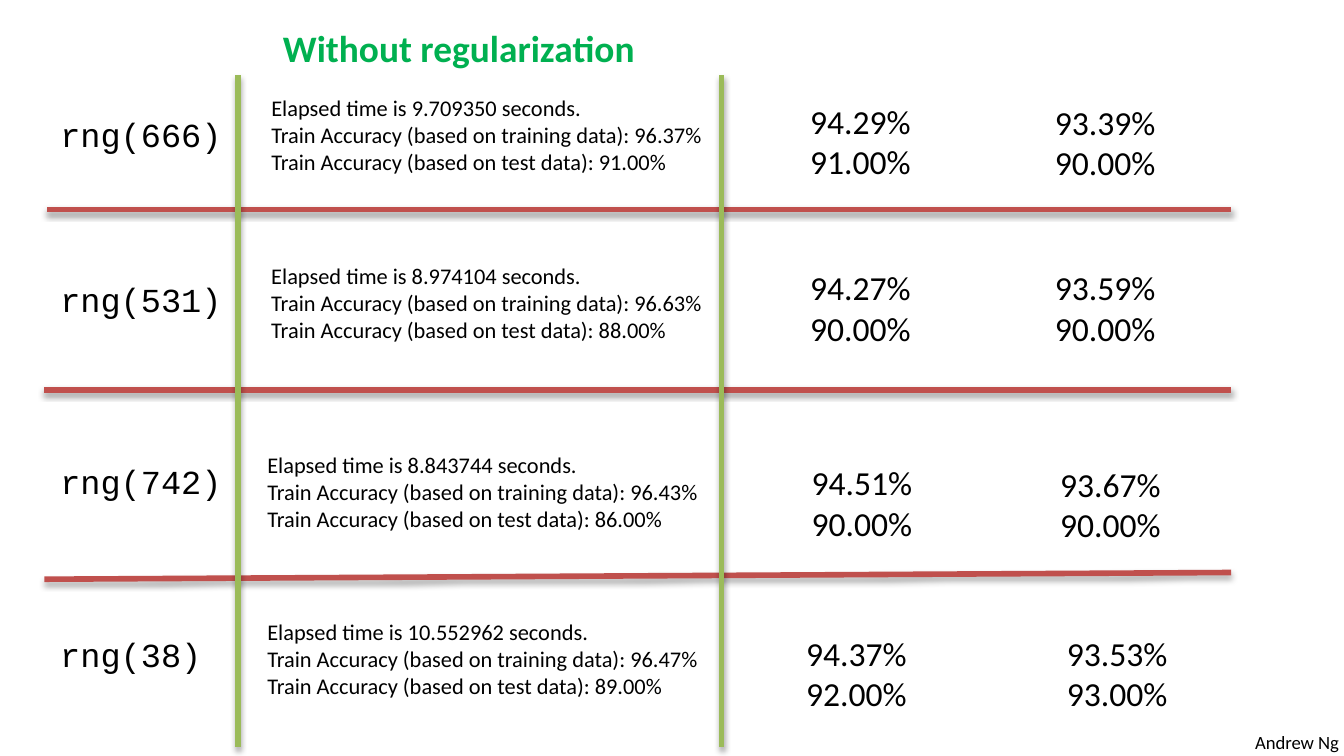
from lxml.etree import fromstring
from pptx import Presentation
from pptx.dml.color import RGBColor
from pptx.enum.shapes import MSO_CONNECTOR
from pptx.enum.text import MSO_AUTO_SIZE, PP_ALIGN
from pptx.util import Inches, Pt

BLACK = RGBColor(0x00, 0x00, 0x00)
GREEN = RGBColor(0x00, 0xB0, 0x50)
RED = RGBColor(0xC0, 0x50, 0x4D)
OLIVE = RGBColor(0x9B, 0xBB, 0x59)

SHADOW = (
    '<a:effectLst xmlns:a="http://schemas.openxmlformats.org/drawingml/2006/main">'
    '<a:outerShdw blurRad="40000" dist="23000" dir="5400000" rotWithShape="0">'
    '<a:srgbClr val="000000"><a:alpha val="35000"/></a:srgbClr>'
    '</a:outerShdw></a:effectLst>'
)

deck = Presentation()
deck.slide_width = Inches(10)
deck.slide_height = deck.slide_width * 9 // 16
page = deck.slides.add_slide(deck.slide_layouts[6])


def add_text(lines, left, top, width, height, size, font="Calibri",
             color=BLACK, bold=False, align=PP_ALIGN.LEFT, wrap=True):
    box = page.shapes.add_textbox(
        Inches(left), Inches(top), Inches(width), Inches(height))
    frame = box.text_frame
    frame.word_wrap = wrap
    frame.auto_size = MSO_AUTO_SIZE.SHAPE_TO_FIT_TEXT
    for index, line in enumerate(lines):
        para = frame.add_paragraph() if index else frame.paragraphs[0]
        para.alignment = align
        span = para.add_run()
        span.text = line
        span.font.name = font
        span.font.size = Pt(size)
        span.font.bold = bold
        span.font.color.rgb = color


def add_rule(start, end, color):
    """Draw a shadowed grid line between two (x, y) points in inches."""
    rule = page.shapes.add_connector(
        MSO_CONNECTOR.STRAIGHT, *[Inches(value) for value in (*start, *end)])
    rule.line.color.rgb = color
    rule.line.width = Pt(3)
    rule._element.spPr.append(fromstring(SHADOW))


add_text(["Andrew Ng"], 9.24, 5.39, 0.84, 0.27, 10, wrap=False)

# Each row: seed, (label top, width), (log left, top, width), seconds,
# (training, test), then (left, top, width, training, test) per score column.
rows = [
    (666, (0.8, 1.41), (1.92, 0.65, 3.45), "9.709350", ("96.37", "91.00"),
     [(5.93, 0.7, 1.08, "94.29", "91.00"), (7.75, 0.71, 1.08, "93.39", "90.00")]),
    (531, (2.03, 1.41), (1.92, 1.9, 3.67), "8.974104", ("96.63", "88.00"),
     [(5.93, 1.94, 1.08, "94.27", "90.00"), (7.75, 1.94, 1.08, "93.59", "90.00")]),
    (742, (3.38, 1.41), (1.89, 3.31, 3.41), "8.843744", ("96.43", "86.00"),
     [(5.94, 3.39, 1.08, "94.51", "90.00"), (7.79, 3.4, 1.08, "93.67", "90.00")]),
    (38, (4.67, 1.26), (1.89, 4.55, 3.61), "10.552962", ("96.47", "89.00"),
     [(5.9, 4.66, 1, "94.37", "92.00"), (7.84, 4.66, 1, "93.53", "93.00")]),
]
for seed, (label_top, label_width), log_place, seconds, (training, test), scores in rows:
    add_text([f"Elapsed time is {seconds} seconds.",
              f"Train Accuracy (based on training data): {training}%",
              f"Train Accuracy (based on test data): {test}%"],
             *log_place, 0.71, 12)
    add_text([f"rng({seed})"], 0.35, label_top, label_width, 0.4, 18,
             font="Courier New", wrap=False)
    for left, top, width, *values in scores:
        add_text([f"{value}%" for value in values], left, top, width, 0.71, 18)

for left, start_y, end_y in [(0.35, 1.56, 1.56), (0.33, 2.9, 2.9), (0.33, 4.31, 4.26)]:
    add_rule((left, start_y), (9.16, end_y), RED)
for x in (1.77, 5.37):
    add_rule((x, 0.56), (x, 5.56), OLIVE)

add_text(["Without regularization"], 2, 0.14, 2.83, 0.44, 20,
         color=GREEN, bold=True, align=PP_ALIGN.CENTER)

deck.save("out.pptx")
